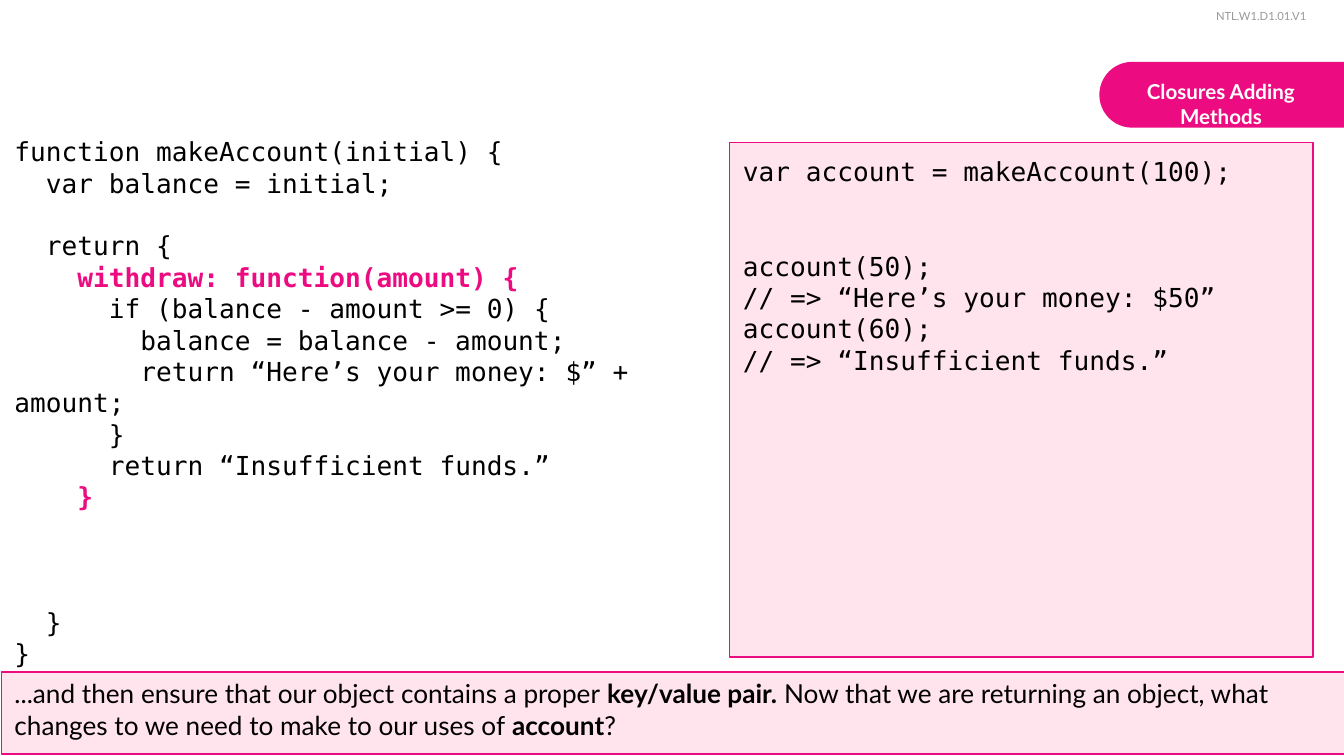
from lxml import etree
from pptx import Presentation
from pptx import util as u
from pptx.dml.color import RGBColor
from pptx.enum import shapes, text
from pptx.oxml.ns import qn

THEME = {
    "pink": "EC0B80", "tint": "FF7CAD", "tint_alpha": 21000,
    "black": "000000", "white": "FFFFFF", "gray": "999999",
    "code_font": "DejaVu Sans Mono", "prose_font": "Lato",
    "body": 14, "title": 11, "label": 6, "code_pitch": 16.8, "code_step": 16.86,
}

# (indent level, blank lines above, text, highlighted)
FUNCTION_CODE = [
    (0, 0, "function makeAccount(initial) {", False),
    (1, 0, "var balance = initial;", False),
    (1, 1, "return {", False),
    (2, 0, "withdraw: function(amount) {", True),
    (3, 0, "if (balance - amount >= 0) {", False),
    (4, 0, "balance = balance - amount;", False),
    (4, 0, "return “Here’s your money: $” + amount;", False),
    (3, 0, "}", False),
    (3, 0, "return “Insufficient funds.”", False),
    (2, 0, "}", True),
    (1, 3, "}", False),
    (0, 0, "}", False),
]
USAGE_CODE = [
    (0, 0, "var account = makeAccount(100);", False),
    (0, 2, "account(50);", False),
    (0, 0, "// => “Here’s your money: $50”", False),
    (0, 0, "account(60);", False),
    (0, 0, "// => “Insufficient funds.”", False),
]
QUESTION = [
    ("...and then ensure that our object contains a proper ", False),
    ("key/value pair.", True),
    (" Now that we are returning an object, what changes to we need to make to our uses of ", False),
    ("account", True),
    ("?", False),
]
TITLE = [("Closures Adding Methods", True)]
LABEL = [("NTL.W1.D1.01.V1", False)]

PLACES = {
    "tab": (8.85, -0.21, 0.49, 1.83),
    "title": (8.12, 0.49, 1.93, 0.39),
    "label": (8.95, 0, 0.97, 0.3),
    "question": (0.01, 5, 10, 0.61),
    "usage": (5.43, 1.06, 4.34, 3.83),
    "function": (0.01, 0.91, 5.43, 4.92),
}


def place(name):
    return [u.Inches(value) for value in PLACES[name]]


def apply(target, values):
    for name, value in values.items():
        setattr(target, name, value)


def prepare(box, anchor=text.MSO_ANCHOR.TOP):
    margins = dict.fromkeys(
        ("margin_left", "margin_top", "margin_right", "margin_bottom"), u.Inches(0.1))
    apply(box.text_frame, {"word_wrap": True, "vertical_anchor": anchor, **margins})
    return box


def add_text(page, name):
    return prepare(page.shapes.add_textbox(*place(name)))


def add_filled(page, name, kind, color):
    box = page.shapes.add_shape(kind, *place(name))
    box.shadow.inherit = False
    box.fill.solid()
    box.fill.fore_color.rgb = RGBColor.from_string(THEME[color])
    return box


def add_panel(page, name, anchor=text.MSO_ANCHOR.TOP):
    box = add_filled(page, name, shapes.MSO_SHAPE.RECTANGLE, "tint")
    color = box._element.spPr.find(qn("a:solidFill"))[0]
    etree.SubElement(color, qn("a:alpha"), val=str(THEME["tint_alpha"]))
    box.line.color.rgb = RGBColor.from_string(THEME["pink"])
    box.line.width = u.Pt(0.75)
    return prepare(box, anchor)


def add_span(para, words, font, size, color, bold):
    span = para.add_run()
    span.text = words
    apply(span.font, {"name": THEME[font], "size": u.Pt(THEME[size]), "bold": bold})
    span.font.color.rgb = RGBColor.from_string(THEME[color])


def write_prose(box, spans, size, color, **layout):
    para = box.text_frame.paragraphs[0]
    apply(para, {"alignment": text.PP_ALIGN.LEFT, **layout})
    for words, bold in spans:
        add_span(para, words, "prose_font", size, color, bold)


def write_code(box, lines):
    frame = box.text_frame
    for index, (level, blanks, words, highlighted) in enumerate(lines):
        para = frame.add_paragraph() if index else frame.paragraphs[0]
        apply(para, {
            "alignment": text.PP_ALIGN.LEFT,
            "line_spacing": u.Pt(THEME["code_pitch"]),
            "space_before": u.Pt(blanks * THEME["code_pitch"]),
        })
        layout = para._p.get_or_add_pPr()
        layout.set("marL", "0")
        layout.set("indent", str(u.Pt(level * THEME["code_step"])))
        add_span(para, words, "code_font", "body",
                 "pink" if highlighted else "black", highlighted)


def main():
    deck = Presentation()
    width = u.Inches(10)
    apply(deck, {"slide_width": width, "slide_height": width * 9 // 16})
    page = deck.slides.add_slide(deck.slide_layouts[6])

    tab = add_filled(page, "tab", shapes.MSO_SHAPE.ROUND_2_SAME_RECTANGLE, "pink")
    tab.line.fill.background()
    tab.rotation = 270
    tab.adjustments[0] = 0.5
    tab.adjustments[1] = 0

    write_prose(add_text(page, "title"), TITLE, "title", "white",
                alignment=text.PP_ALIGN.CENTER)
    write_prose(add_text(page, "label"), LABEL, "label", "gray", line_spacing=1.15)
    write_prose(add_panel(page, "question", text.MSO_ANCHOR.BOTTOM),
                QUESTION, "body", "black")
    write_code(add_panel(page, "usage"), USAGE_CODE)
    write_code(add_text(page, "function"), FUNCTION_CODE)
    deck.save("out.pptx")


if __name__ == "__main__":
    main()
